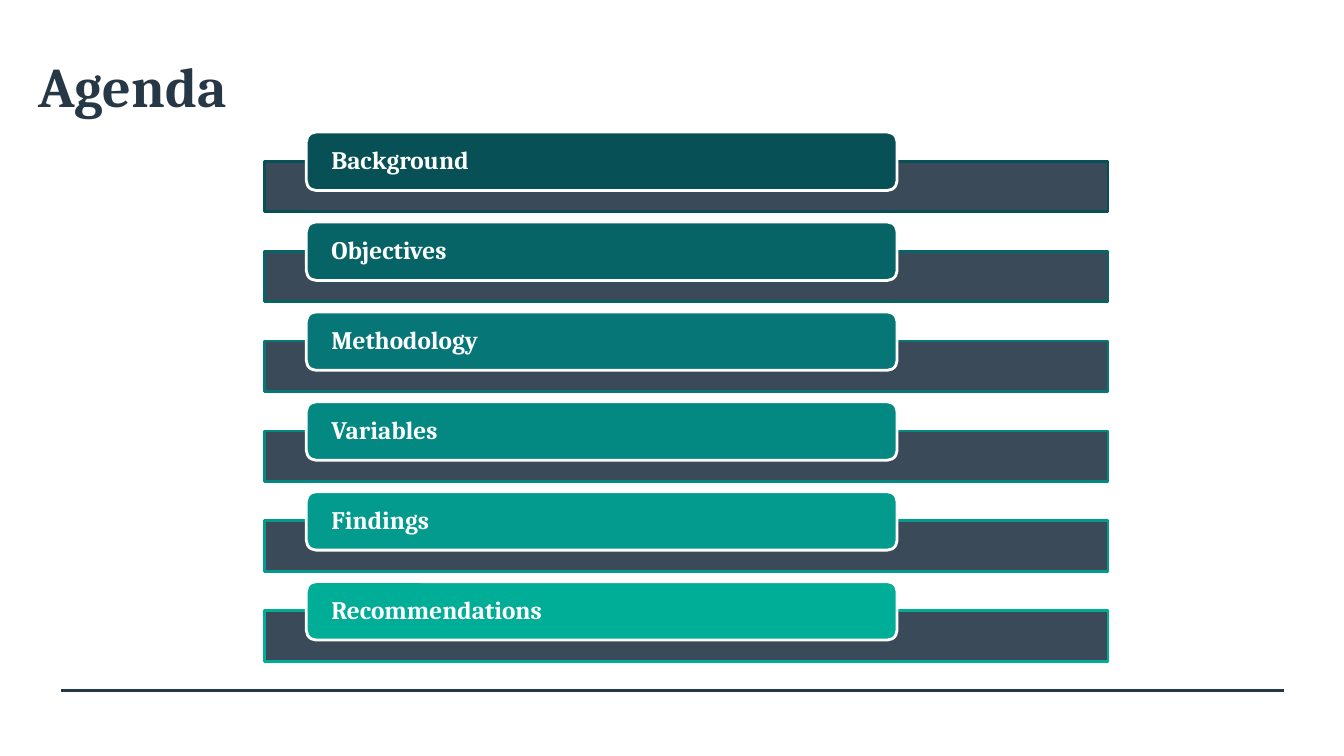
from lxml.etree import SubElement
from pptx import Presentation
from pptx.dml.color import RGBColor
from pptx.enum.shapes import MSO_CONNECTOR, MSO_SHAPE
from pptx.enum.text import MSO_ANCHOR, PP_ALIGN
from pptx.oxml.ns import qn
from pptx.util import Inches, Pt

FONT = "Cambria"
NAVY = RGBColor(0x26, 0x37, 0x46)
WHITE = RGBColor(0xFF, 0xFF, 0xFF)
AGENDA = [
    ("Background", RGBColor(0x07, 0x51, 0x56)),
    ("Objectives", RGBColor(0x07, 0x64, 0x66)),
    ("Methodology", RGBColor(0x06, 0x77, 0x76)),
    ("Variables", RGBColor(0x04, 0x89, 0x82)),
    ("Findings", RGBColor(0x02, 0x9B, 0x8D)),
    ("Recommendations", RGBColor(0x00, 0xAD, 0x97)),
]


def write(frame, text, size, color, anchor, inset=0):
    frame.word_wrap = True
    frame.vertical_anchor = anchor
    frame.margin_left = frame.margin_right = Inches(inset)
    frame.margin_top = frame.margin_bottom = 0
    para = frame.paragraphs[0]
    para.alignment = PP_ALIGN.LEFT
    span = para.add_run()
    span.text = text
    span.font.name = FONT
    span.font.size = Pt(size)
    span.font.bold = True
    span.font.color.rgb = color
    return para


def add_block(page, kind, box, fill, outline):
    block = page.shapes.add_shape(kind, *map(Inches, box))
    block.shadow.inherit = False
    block.fill.solid()
    block.fill.fore_color.rgb = fill
    block.line.color.rgb = outline
    block.line.width = Pt(2)
    return block


def add_title(page, text, box):
    title = page.shapes.title
    title.left, title.top, title.width, title.height = map(Inches, box)
    write(title.text_frame, text, 40, NAVY, MSO_ANCHOR.TOP)


def add_agenda_item(page, label, color, box):
    """Place a wide bar at the foot of the box and a labelled tab at its top."""
    left, top, width, height = box
    bar_height, tab_height = 0.5, 0.58
    bar = add_block(page, MSO_SHAPE.RECTANGLE,
                    (left, top + height - bar_height, width, bar_height), NAVY, color)
    fill_color = bar.fill._xPr.find(qn("a:solidFill"))[0]
    SubElement(fill_color, qn("a:alpha"), val="90000")

    tab = add_block(page, MSO_SHAPE.ROUNDED_RECTANGLE,
                    (left + 0.05 * width, top, 0.7 * width, tab_height), color, WHITE)
    para = write(tab.text_frame, label, 18, WHITE, MSO_ANCHOR.MIDDLE, 0.22)
    para.line_spacing = 0.9


def add_agenda(page, items, box):
    left, top, width, height = box
    item_height = 0.79
    pitch = (height - item_height) / (len(items) - 1)
    for row, (label, color) in enumerate(items):
        add_agenda_item(page, label, color, (left, top + row * pitch, width, item_height))


def add_footer_rule(page, left, right, top):
    rule = page.shapes.add_connector(
        MSO_CONNECTOR.STRAIGHT, Inches(left), Inches(top), Inches(right), Inches(top))
    rule.line.color.rgb = NAVY
    rule.line.width = Pt(2)
    SubElement(rule._element.spPr, qn("a:effectLst"))


def main():
    deck = Presentation()
    deck.slide_width, deck.slide_height = Inches(13.33), Inches(7.5)
    page = deck.slides.add_slide(deck.slide_layouts[5])
    add_footer_rule(page, 0.61, 12.73, 6.85)
    add_title(page, "Agenda", (0.38, 0.51, 12.12, 0.79))
    add_agenda(page, AGENDA, (2.62, 1.31, 8.37, 5.25))
    deck.save("out.pptx")


if __name__ == "__main__":
    main()
